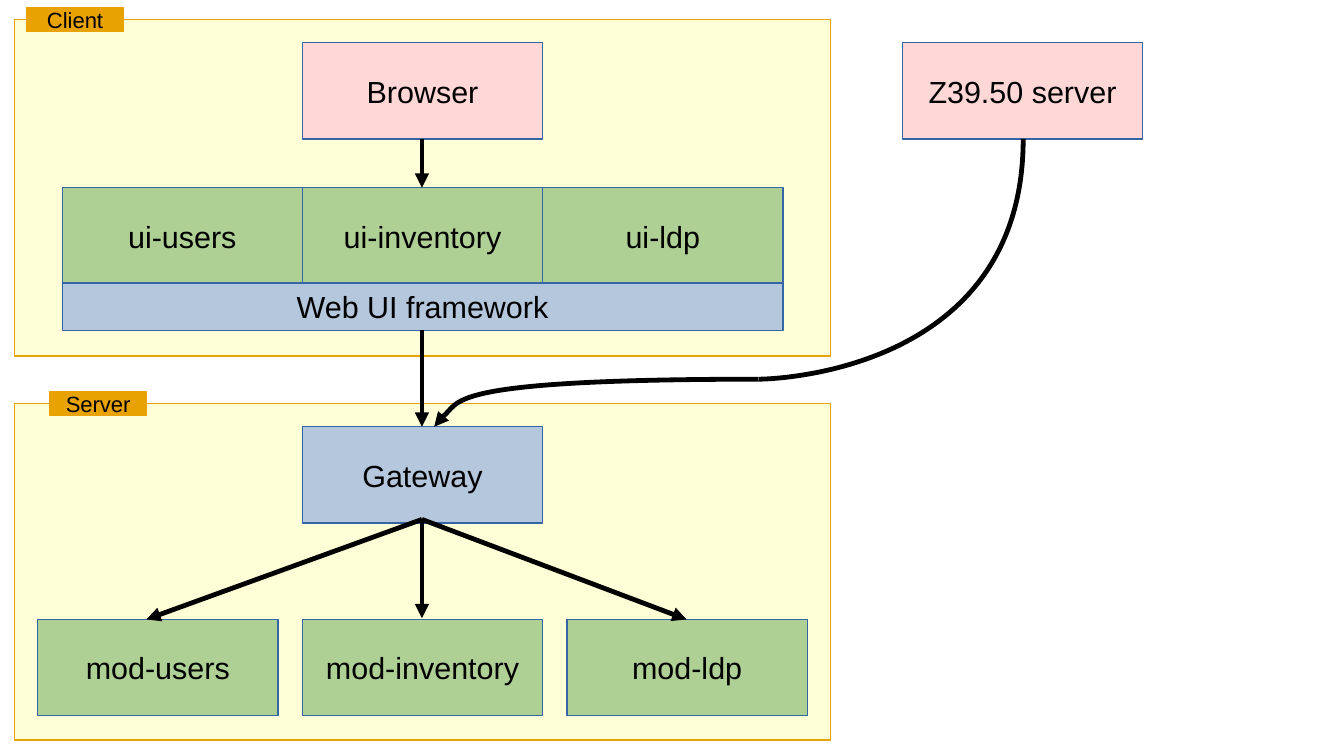
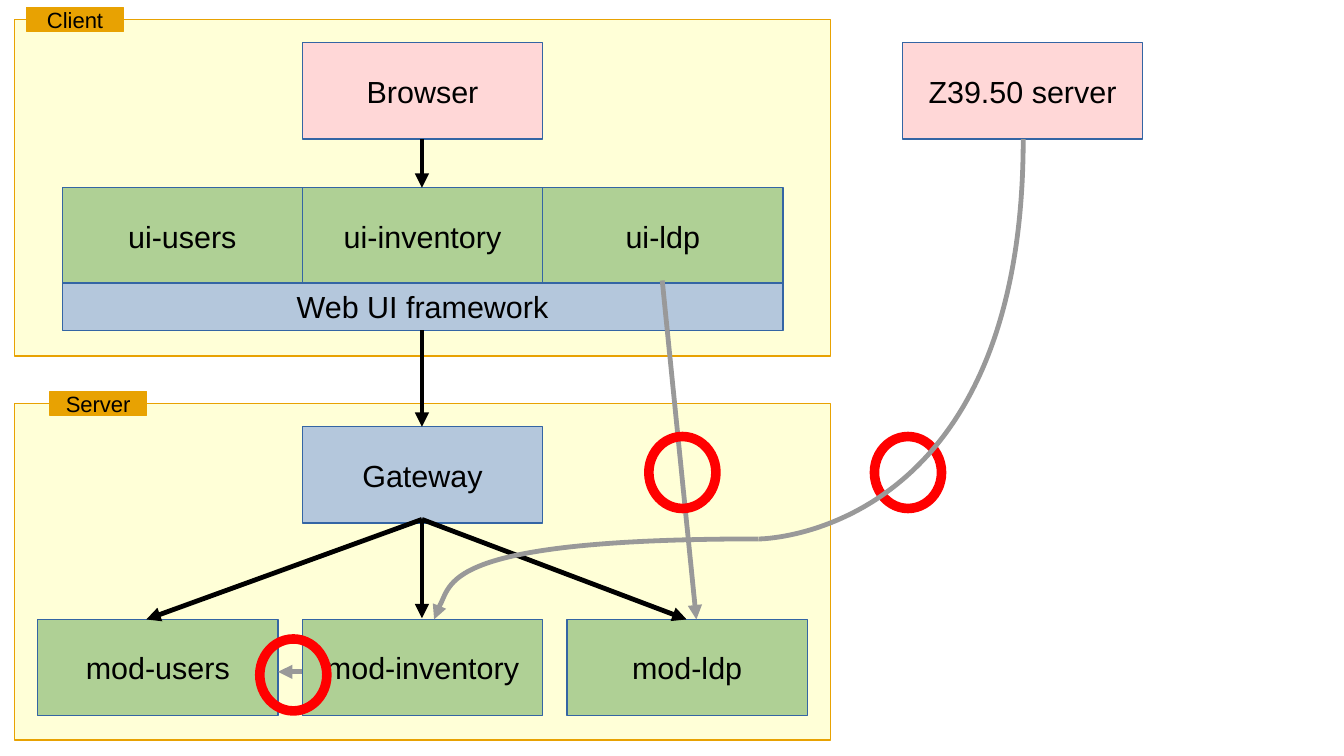
from dataclasses import dataclass

from lxml.etree import SubElement
from pptx import Presentation
from pptx.dml.color import RGBColor
from pptx.enum.shapes import MSO_CONNECTOR as Connector
from pptx.enum.shapes import MSO_SHAPE as Preset
from pptx.enum.text import MSO_ANCHOR as Anchor
from pptx.enum.text import PP_ALIGN as Align
from pptx.oxml.ns import qn
from pptx.util import Inches, Pt

COLORS = {
    "zone": "FFFFD7",
    "zone_edge": "E8A202",
    "outside": "FFD7D7",
    "module": "AFD095",
    "platform": "B4C7DC",
    "edge": "3465A4",
    "ink": "000000",
    "bypass": "999999",
    "alert": "FF0000",
}
FONT = "Arial"
FLOW_WIDTH = 2.83
BOX_WIDTH, BOX_HEIGHT = 1.97, 0.79
RING_WIDTH, RING_HEIGHT, RING_LINE = 0.55, 0.59, 5.67
UI_LEFT, UI_TOP = 0.51, 1.54
MOD_LEFT, MOD_TOP, MOD_PITCH = 0.31, 5.08, 2.17
CENTER_LEFT = UI_LEFT + BOX_WIDTH
CENTER_X = 3.46
APPS = ("users", "inventory", "ldp")


@dataclass(frozen=True)
class Box:
    """A rectangle with an optional caption; lengths in inches."""
    caption: str
    left: float
    top: float
    fill: str
    width: float = BOX_WIDTH
    height: float = BOX_HEIGHT
    edge: str = "edge"
    size: int = 18


@dataclass(frozen=True)
class Arrow:
    """A straight arrow between two points."""
    start: tuple[float, float]
    end: tuple[float, float]
    color: str = "ink"


@dataclass(frozen=True)
class Ring:
    """A ring that marks a forbidden shortcut."""
    left: float
    top: float


@dataclass(frozen=True)
class Bend:
    """A two-part curve that runs down, then left, then down to its tip."""
    start: tuple[float, float]
    middle: tuple[float, float]
    end: tuple[float, float]
    color: str = "ink"


ZONES = [Box("", 0.12, top, "zone", 6.69, 2.76, "zone_edge") for top in (3.31, 0.16)]
BOXES = [
    Box("Browser", CENTER_LEFT, 0.35, "outside"),
    Box("Z39.50 server", 7.4, 0.35, "outside"),
    Box("Gateway", CENTER_LEFT, 3.5, "platform"),
    *(Box(f"ui-{app}", UI_LEFT + column * BOX_WIDTH, UI_TOP, "module")
      for column, app in enumerate(APPS)),
    Box("Web UI framework", UI_LEFT, 2.32, "platform", 3 * BOX_WIDTH, 0.39),
    *(Box(f"mod-{app}", MOD_LEFT + column * MOD_PITCH, MOD_TOP, "module")
      for column, app in enumerate(APPS)),
]
TAGS = [
    Box(caption, left, top, "zone_edge", 0.79, 0.2, "zone_edge", 13)
    for caption, left, top in (("Client", 0.22, 0.06), ("Server", 0.41, 3.21))
]
FLOWS = [
    Arrow((CENTER_X, 1.14), (CENTER_X, UI_TOP)),
    Arrow((CENTER_X, 2.71), (CENTER_X, 3.5)),
    Arrow((CENTER_X, 4.27), (CENTER_X, 5.07)),
    Arrow((CENTER_X, 4.26), (5.63, MOD_TOP)),
    Arrow((CENTER_X, 4.26), (1.2, MOD_TOP)),
]
SERVER_EXIT = (8.39, 1.14)
ALLOWED_ROUTE = [Bend(SERVER_EXIT, (6.22, 3.11), (3.56, 3.5))]
FORBIDDEN_ROUTES = [
    Arrow((2.48, 5.51), (2.28, 5.51), "bypass"),
    Ring(2.13, 5.24),
    Ring(7.17, 3.58),
    Arrow((5.43, 2.3), (5.71, MOD_TOP), "bypass"),
    Bend(SERVER_EXIT, (6.22, 4.42), (3.56, MOD_TOP), "bypass"),
    Ring(5.32, 3.58),
]


def rgb(name: str) -> RGBColor:
    """Look up a palette colour."""
    return RGBColor.from_string(COLORS[name])


def set_line(shape, color: str, width: float, arrow: bool = False) -> None:
    """Format an outline or stroke, with an arrowhead at its end if asked."""
    shape.line.color.rgb = rgb(color)
    shape.line.width = Pt(width)
    if arrow:
        line = shape.element.spPr.find(qn("a:ln"))
        SubElement(line, qn("a:tailEnd"), type="triangle")


def write_text(shape, text: str, *, size: int, color: str = "ink") -> None:
    """Write centred text into a shape."""
    frame = shape.text_frame
    frame.word_wrap = True
    frame.vertical_anchor = Anchor.MIDDLE
    paragraph = frame.paragraphs[0]
    paragraph.alignment = Align.CENTER
    run = paragraph.add_run()
    run.text = text
    run.font.name = FONT
    run.font.size = Pt(size)
    run.font.color.rgb = rgb(color)


def draw_box(slide, box: Box) -> None:
    """Draw a filled rectangle with its caption."""
    shape = slide.shapes.add_shape(
        Preset.RECTANGLE, Inches(box.left), Inches(box.top),
        Inches(box.width), Inches(box.height))
    shape.shadow.inherit = False
    shape.fill.solid()
    shape.fill.fore_color.rgb = rgb(box.fill)
    set_line(shape, box.edge, 0)
    if box.caption:
        write_text(shape, box.caption, size=box.size)


def draw_arrow(slide, arrow: Arrow) -> None:
    """Draw a straight arrow."""
    connector = slide.shapes.add_connector(
        Connector.STRAIGHT, *map(Inches, arrow.start + arrow.end))
    set_line(connector, arrow.color, FLOW_WIDTH, arrow=True)
    SubElement(connector.element.spPr, qn("a:effectLst"))


def draw_ring(slide, ring: Ring) -> None:
    """Draw a hollow warning ring."""
    shape = slide.shapes.add_shape(
        Preset.OVAL, Inches(ring.left), Inches(ring.top),
        Inches(RING_WIDTH), Inches(RING_HEIGHT))
    shape.shadow.inherit = False
    shape.fill.background()
    set_line(shape, "alert", RING_LINE)


def draw_curve(slide, start: tuple[float, float], end: tuple[float, float],
               color: str, falls_first: bool) -> None:
    """Draw a curve down to the left; the last part ends in an arrowhead."""
    builder = slide.shapes.build_freeform(*map(Inches, start))
    builder.add_line_segments([tuple(map(Inches, end))], close=False)
    shape = builder.convert_to_shape()
    shape.shadow.inherit = False
    shape.fill.background()
    set_line(shape, color, FLOW_WIDTH, arrow=not falls_first)

    segment = shape.element.xpath(".//a:lnTo")[0]
    corner = (shape.width, shape.height) if falls_first else (0, 0)
    tip = (0, shape.height)
    segment.tag = qn("a:cubicBezTo")
    segment.clear()
    for x, y in (corner, tip, tip):
        SubElement(segment, qn("a:pt"), x=str(x), y=str(y))


def draw_bend(slide, bend: Bend) -> None:
    """Draw both parts of a bend."""
    draw_curve(slide, bend.start, bend.middle, bend.color, falls_first=True)
    draw_curve(slide, bend.middle, bend.end, bend.color, falls_first=False)


DRAWERS = {Box: draw_box, Arrow: draw_arrow, Ring: draw_ring, Bend: draw_bend}


def add_architecture_slide(presentation, routes: list) -> None:
    """Add the shared architecture diagram with its own extra routes."""
    slide = presentation.slides.add_slide(presentation.slide_layouts[6])
    for item in ZONES + BOXES + TAGS + FLOWS + routes:
        DRAWERS[type(item)](slide, item)


def main() -> None:
    """Build and save the presentation."""
    presentation = Presentation()
    presentation.slide_width = Inches(11.02)
    presentation.slide_height = Inches(6.2)
    for routes in (ALLOWED_ROUTE, FORBIDDEN_ROUTES):
        add_architecture_slide(presentation, routes)
    presentation.save("out.pptx")


main()
